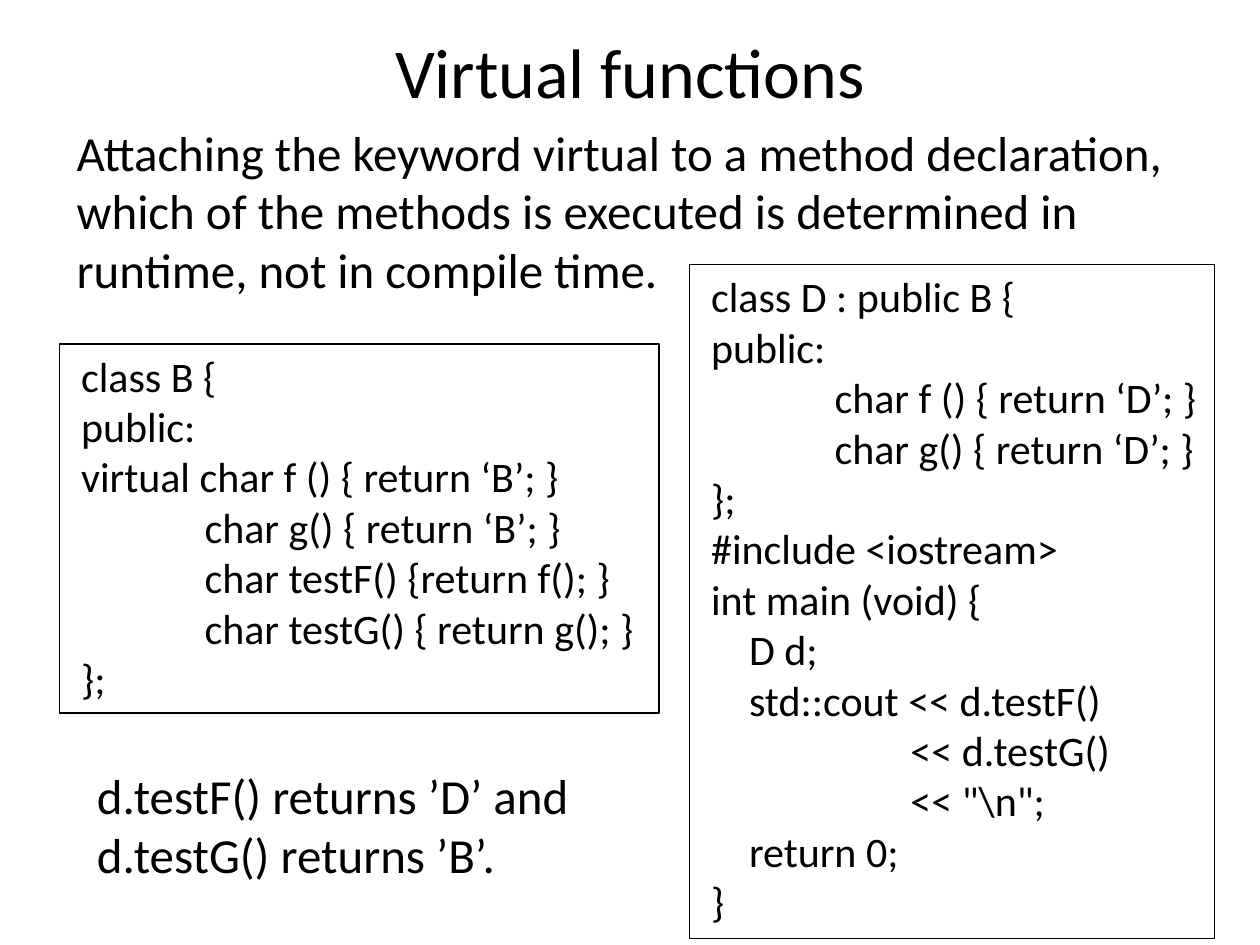
from pptx import Presentation
from pptx.dml.color import RGBColor
from pptx.enum.shapes import MSO_SHAPE
from pptx.enum.text import MSO_ANCHOR, PP_ALIGN
from pptx.util import Inches, Pt

RECT = MSO_SHAPE.RECTANGLE
TOP, MIDDLE = MSO_ANCHOR.TOP, MSO_ANCHOR.MIDDLE
LEFT, CENTER = PP_ALIGN.LEFT, PP_ALIGN.CENTER

CLASS_B = """\
 class B {
 public:
 virtual char f () { return ‘B’; }
              char g() { return ‘B’; }
              char testF() {return f(); }
              char testG() { return g(); }
 };"""

CLASS_D = r"""
 class D : public B {
 public:
              char f () { return ‘D’; }
              char g() { return ‘D’; }
 };
 #include <iostream>
 int main (void) {
     D d;
     std::cout << d.testF()
                      << d.testG()
                      << "\n";
     return 0;
 }""".lstrip("\n")


def rgb(value):
    return RGBColor.from_string(value)


class SlideBuilder:
    font = "Calibri"
    ink = "000000"

    def __init__(self, s):
        self.s = s

    def add_lines(self, sp, lines, size, align=LEFT, anchor=TOP, wrap=True):
        tf = sp.text_frame
        tf.word_wrap = wrap
        tf.vertical_anchor = anchor
        for i, line in enumerate(lines):
            p = tf.paragraphs[0] if i == 0 else tf.add_paragraph()
            p.alignment = align
            r = p.add_run()
            r.text = line
            r.font.name = self.font
            r.font.size = Pt(size)
            r.font.color.rgb = rgb(self.ink)

    def text(self, box, content, size=28, align=LEFT, anchor=TOP):
        sp = self.s.shapes.add_textbox(*map(Inches, box))
        self.add_lines(sp, [content], size, align, anchor)

    def code(self, box, source, wrap=True):
        sp = self.s.shapes.add_shape(RECT, *map(Inches, box))
        sp.shadow.inherit = False
        sp.fill.background()
        sp.line.color.rgb = rgb(self.ink)
        sp.line.width = Pt(0.75)
        self.add_lines(sp, source.split("\n"), 24, wrap=wrap)


def main():
    prs = Presentation()
    prs.slide_width, prs.slide_height = Inches(10), Inches(7.5)
    s = prs.slides.add_slide(prs.slide_layouts[6])
    slide = SlideBuilder(s)
    slide.text((0.5, 0.05, 9, 1.02), "Virtual functions", 40, CENTER, MIDDLE)
    slide.code((0.47, 2.73, 4.76, 2.93), CLASS_B, wrap=False)
    slide.code((5.47, 2.1, 4.17, 5.35), CLASS_D)
    slide.text((0.67, 6.03, 4.41, 1.04),
               "d.testF() returns ’D’ and d.testG() returns ’B’.")
    slide.text((0.51, 0.92, 9.13, 1.51),
               "Attaching the keyword virtual to a method declaration, "
               "which of the methods is executed is determined in runtime, "
               "not in compile time.")
    prs.save("out.pptx")


if __name__ == "__main__":
    main()
